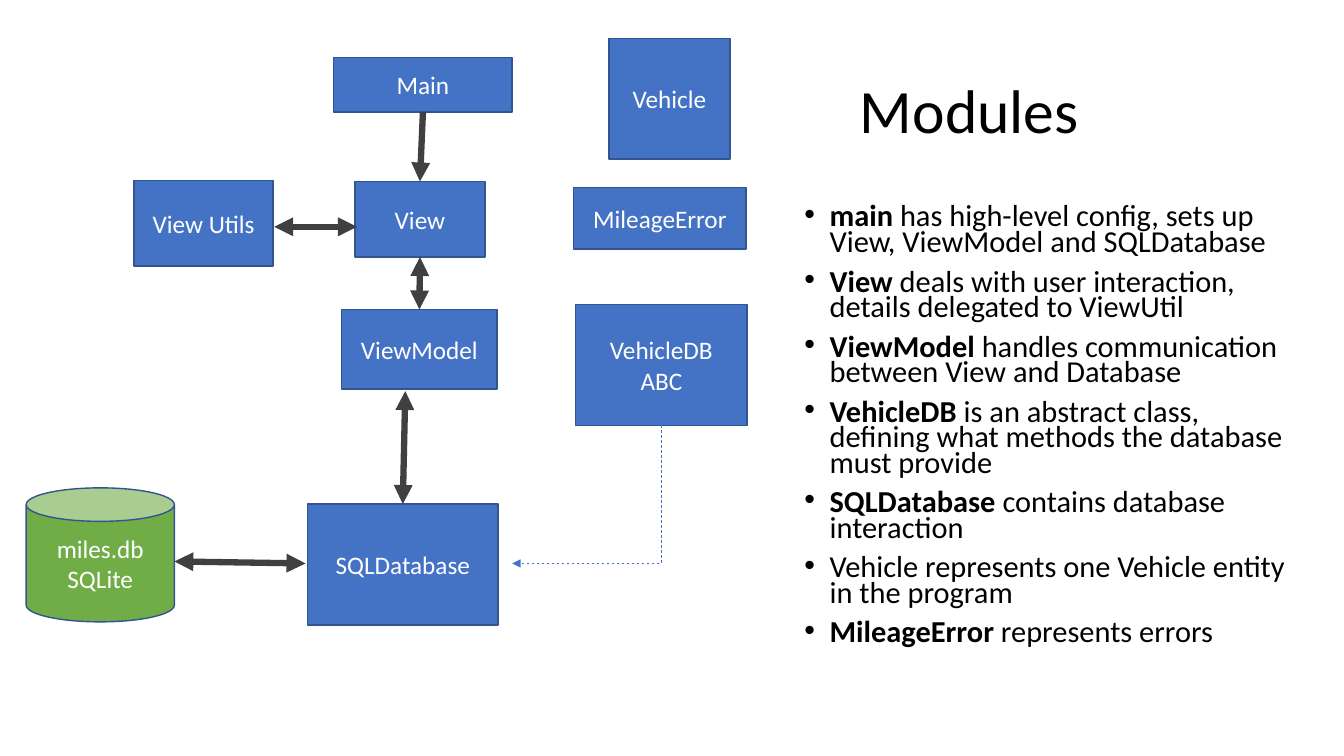
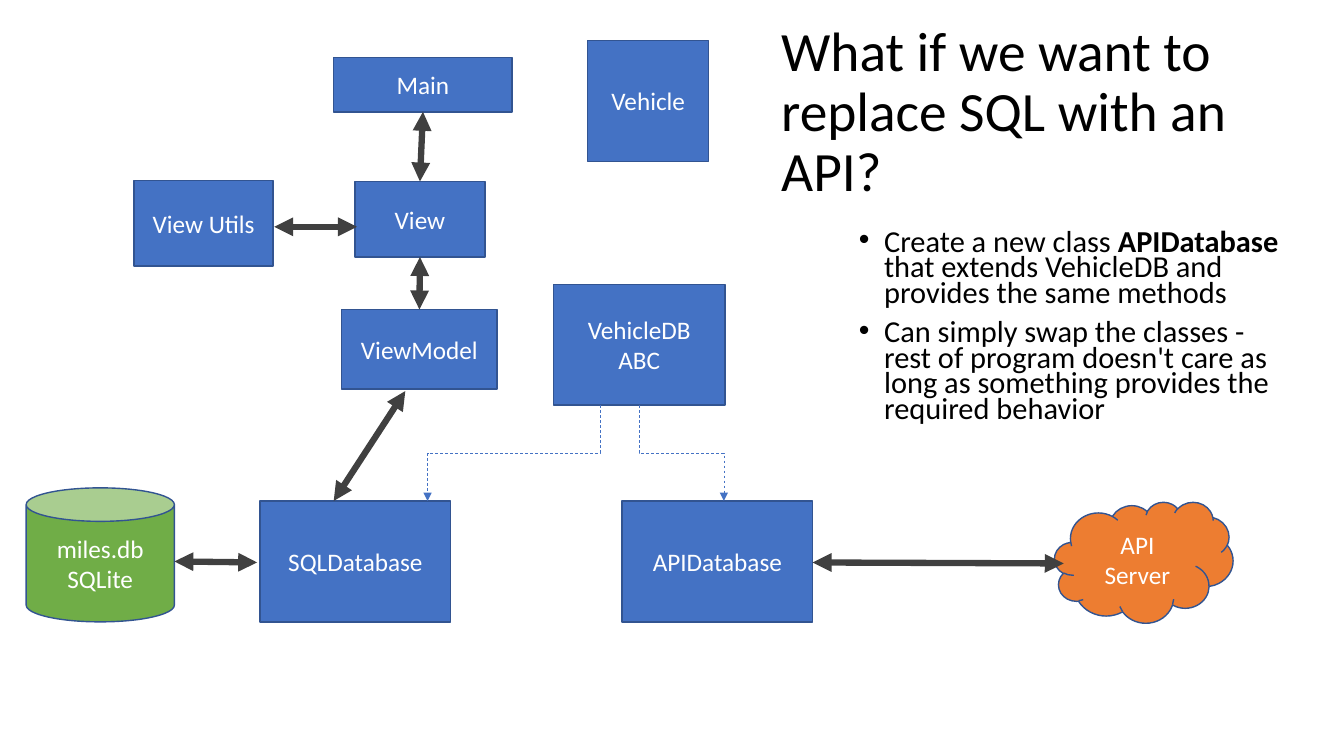
from pptx import Presentation
from pptx.dml.color import RGBColor
from pptx.enum.dml import MSO_LINE
from pptx.enum.shapes import MSO_CONNECTOR, MSO_SHAPE
from pptx.enum.text import MSO_ANCHOR, PP_ALIGN
from pptx.oxml.ns import qn
from pptx.util import Inches, Pt
from lxml import etree

RECTANGLE, CAN, CLOUD = MSO_SHAPE.RECTANGLE, MSO_SHAPE.CAN, MSO_SHAPE.CLOUD
STRAIGHT, ELBOW = MSO_CONNECTOR.STRAIGHT, MSO_CONNECTOR.ELBOW

BLUE = RGBColor(0x44, 0x72, 0xC4)
OUTLINE = RGBColor(0x32, 0x54, 0x91)
GREEN = RGBColor(0x70, 0xAD, 0x47)
ORANGE = RGBColor(0xED, 0x7D, 0x31)
DARK = RGBColor(0x40, 0x40, 0x40)
BLACK = RGBColor(0, 0, 0)
WHITE = RGBColor(255, 255, 255)
FONT = "Calibri"
BODY_SIZE, LABEL_SIZE = 21.7, 18
BULLET_INDENT = 0.25

# Nodes: left, top, width, height in inches
SHARED_NODES = {
    "Main": (3.31, 0.57, 1.77, 0.54),
    "View": (3.52, 1.8, 1.29, 0.75),
    "ViewModel": (3.39, 3.07, 1.54, 0.79),
    "miles.db\nSQLite": (0.26, 4.84, 1.47, 1.33),
    "View Utils": (1.33, 1.79, 1.38, 0.85),
}
# Nodes that are not blue rectangles
NODE_STYLES = {"miles.db\nSQLite": (CAN, GREEN), "API Server": (CLOUD, ORANGE)}

# Arrow ends are (node, side) or a point; the flag asks for a head at both ends
SHARED_ARROWS = [
    ((3.54, 2.25), (2.72, 2.25), True),
    (("View", "bottom"), ("ViewModel", "top"), True),
]

# In bullets, ** surrounds bold text
SLIDES = [
    {
        "title": ("Modules", 44, (8.43, 0.4, 3.99, 1.45)),
        "body_box": (7.88, 2, 5, 4.76),
        "bullets": [
            "**main** has high-level config, sets up View, ViewModel and SQLDatabase",
            "**View** deals with user interaction, details delegated to ViewUtil",
            "**ViewModel** handles communication between View and Database",
            "**VehicleDB** is an abstract class, defining what methods the database must provide",
            "**SQLDatabase** contains database interaction",
            "Vehicle represents one Vehicle entity in the program",
            "**MileageError** represents errors",
        ],
        "nodes": {
            "VehicleDB\nABC": (5.71, 3.02, 1.7, 1.2),
            "Vehicle": (6.04, 0.38, 1.2, 1.2),
            "SQLDatabase": (3.05, 5, 1.89, 1.2),
            "MileageError": (5.69, 1.86, 1.71, 0.61),
        },
        "arrows": [
            (("Main", "bottom"), ("View", "top"), False),
            ((4.02, 3.88), ("SQLDatabase", "top"), True),
            ((3.03, 5.59), (1.73, 5.57), True),
        ],
        "elbows": [(("VehicleDB\nABC", "bottom"), (5.08, 5.59), "bentConnector2")],
    },
    {
        "title": ("What if we want to replace SQL with an API?", 39.6,
                  (7.65, 0.4, 4.76, 1.45)),
        "body_box": (8.42, 2.25, 4.44, 2.29),
        "bullets": [
            "Create a new class **APIDatabase** that extends VehicleDB and provides the same methods",
            "Can simply swap the classes - rest of program doesn't care as long as "
            "something provides the required behavior",
        ],
        "nodes": {
            "VehicleDB\nABC": (5.49, 2.82, 1.7, 1.2),
            "Vehicle": (5.83, 0.4, 1.2, 1.2),
            "SQLDatabase": (2.58, 4.97, 1.89, 1.2),
            "APIDatabase": (6.17, 4.97, 1.89, 1.2),
            "API Server": (10.46, 4.98, 1.77, 1.2),
        },
        "arrows": [
            (("Main", "bottom"), ("View", "top"), True),
            ((4.02, 3.88), (3.31, 4.97), True),
            ((2.55, 5.58), (1.73, 5.57), True),
            ((10.55, 5.59), (8.06, 5.58), True),
        ],
        "elbows": [
            (("VehicleDB\nABC", "bottom"), (7.18, 4.97), "bentConnector3"),
            ((5.95, 4.02), (4.24, 4.97), "bentConnector3"),
        ],
    },
]


def inches(values):
    return [Inches(value) for value in values]


def format_run(run, size, color, bold=False):
    run.font.name = FONT
    run.font.size = Pt(size)
    run.font.color.rgb = color
    run.font.bold = bold


def add_text_box(slide, box):
    text_frame = slide.shapes.add_textbox(*inches(box)).text_frame
    text_frame.word_wrap = True
    return text_frame


def add_title(slide, text, size, box):
    text_frame = add_text_box(slide, box)
    text_frame.vertical_anchor = MSO_ANCHOR.MIDDLE
    text_frame.text = text
    paragraph = text_frame.paragraphs[0]
    paragraph.line_spacing = 0.9
    format_run(paragraph.runs[0], size, BLACK)


def add_bullets(slide, bullets, box):
    text_frame = add_text_box(slide, box)
    text_frame.text = "\n".join(bullets)
    for paragraph, bullet in zip(text_frame.paragraphs, bullets):
        paragraph.clear()
        paragraph.line_spacing = 0.7
        paragraph.space_before = Pt(10)
        for index, part in enumerate(bullet.split("**")):
            if part:
                run = paragraph.add_run()
                run.text = part
                format_run(run, BODY_SIZE, BLACK, bold=index % 2 == 1)
        properties = paragraph._p.get_or_add_pPr()
        properties.set("marL", str(Inches(BULLET_INDENT)))
        properties.set("indent", str(-Inches(BULLET_INDENT)))
        etree.SubElement(properties, qn("a:buFont"), typeface="Arial")
        etree.SubElement(properties, qn("a:buChar"), char="•")


def add_node(slide, label, box):
    preset, fill = NODE_STYLES.get(label, (RECTANGLE, BLUE))
    shape = slide.shapes.add_shape(preset, *inches(box))
    shape.shadow.inherit = False
    shape.fill.solid()
    shape.fill.fore_color.rgb = fill
    shape.line.color.rgb = OUTLINE
    shape.line.width = Pt(1)
    text_frame = shape.text_frame
    text_frame.word_wrap = True
    text_frame.vertical_anchor = MSO_ANCHOR.MIDDLE
    text_frame.text = label
    for paragraph in text_frame.paragraphs:
        paragraph.alignment = PP_ALIGN.CENTER
        format_run(paragraph.runs[0], LABEL_SIZE, WHITE)


def locate(nodes, end):
    """Turn (node, side) into the middle of that side; pass points through."""
    if end[0] not in nodes:
        return end
    left, top, width, height = nodes[end[0]]
    return left + width / 2, top + (height if end[1] == "bottom" else 0)


def style_connector(connector, color, width, ends, dash=None):
    connector.line.color.rgb = color
    connector.line.width = Pt(width)
    if dash:
        connector.line.dash_style = dash
    line = connector.line._get_or_add_ln()
    for end in ends:
        etree.SubElement(line, qn(f"a:{end}"), type="triangle")
    etree.SubElement(connector._element.spPr, qn("a:effectLst"))


def add_arrow(slide, start, end, both):
    connector = slide.shapes.add_connector(STRAIGHT, *inches(start + end))
    style_connector(connector, DARK, 4.5, ["headEnd", "tailEnd"] if both else ["tailEnd"])


def add_elbow(slide, start, end, preset):
    """Dashed arrow that leaves downwards: a turned box around the midpoint."""
    (x1, y1), (x2, y2) = start, end
    center_x, center_y = (x1 + x2) / 2, (y1 + y2) / 2
    half_width, half_height = (y2 - y1) / 2, abs(x2 - x1) / 2
    connector = slide.shapes.add_connector(ELBOW, *inches((
        center_x - half_width, center_y - half_height,
        center_x + half_width, center_y + half_height)))
    properties = connector._element.spPr
    properties.find(qn("a:prstGeom")).set("prst", preset)
    transform = properties.find(qn("a:xfrm"))
    transform.set("rot", str((270 if x2 > x1 else 90) * 60000))
    if x2 > x1:
        transform.set("flipH", "1")
    style_connector(connector, BLUE, 0.5, ["tailEnd"], MSO_LINE.DASH)


def build_slide(presentation, content):
    slide = presentation.slides.add_slide(presentation.slide_layouts[6])
    add_title(slide, *content["title"])
    add_bullets(slide, content["bullets"], content["body_box"])
    nodes = {**content["nodes"], **SHARED_NODES}
    for label, box in nodes.items():
        add_node(slide, label, box)
    for start, end, both in SHARED_ARROWS + content["arrows"]:
        add_arrow(slide, locate(nodes, start), locate(nodes, end), both)
    for start, end, preset in content["elbows"]:
        add_elbow(slide, locate(nodes, start), locate(nodes, end), preset)


def main():
    presentation = Presentation()
    presentation.slide_width, presentation.slide_height = inches((13.33, 7.5))
    for content in SLIDES:
        build_slide(presentation, content)
    presentation.save("out.pptx")


if __name__ == "__main__":
    main()
